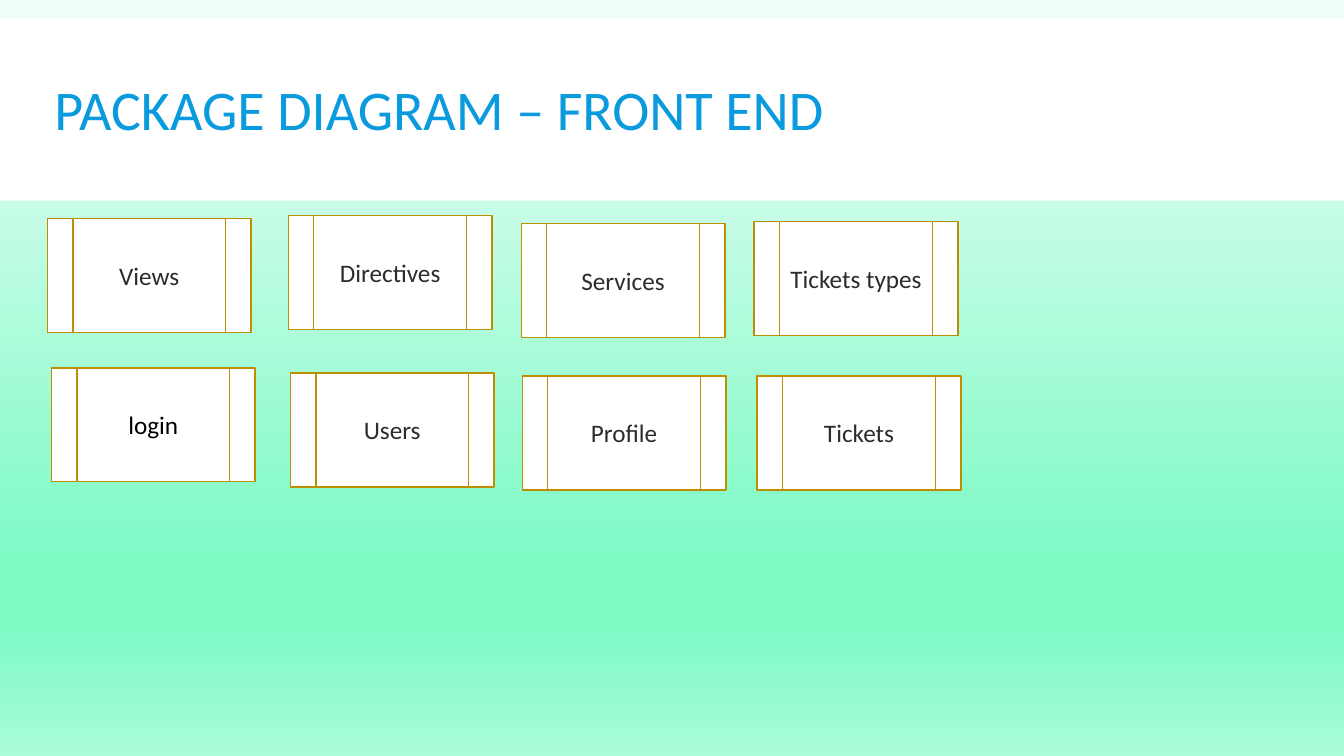
from lxml import etree
from pptx import Presentation
from pptx.dml.color import RGBColor
from pptx.enum.shapes import MSO_SHAPE
from pptx.enum.text import MSO_ANCHOR, PP_ALIGN
from pptx.oxml.ns import qn
from pptx.util import Inches, Pt

RECT = MSO_SHAPE.RECTANGLE
PACKAGE = MSO_SHAPE.FLOWCHART_PREDEFINED_PROCESS
MIDDLE = MSO_ANCHOR.MIDDLE
LEFT, CENTER = PP_ALIGN.LEFT, PP_ALIGN.CENTER

FONT = "Calibri"
COLORS = {
    "white": "FFFFFF",
    "title": "099BDD",
    "border": "BD8E00",
    "text": "2C2C2C",
    "black": "000000",
}
BACKGROUND_STOPS = [(0, "F1FEF9"), (74, "7EFAC5"), (83, "7EFAC5"), (100, "A9FCD8")]

PACKAGE_W, PACKAGE_H = 2.02, 1.13
# Name, left, top, text colour
PACKAGES = [
    ("Views", 0.47, 2.17, "text"),
    ("Directives", 2.86, 2.14, "text"),
    ("Services", 5.17, 2.22, "text"),
    ("Tickets types", 7.48, 2.2, "text"),
    ("login", 0.51, 3.65, "black"),
    ("Users", 2.88, 3.7, "text"),
    ("Profile", 5.18, 3.73, "text"),
    ("Tickets", 7.51, 3.73, "text"),
]


def rgb(name):
    return RGBColor.from_string(COLORS[name])


def set_background(slide):
    fill = slide.background.fill
    fill.gradient()
    fill.gradient_angle = 270
    # Replace the two default stops
    stops = next(slide.element.iter(qn("a:gsLst")))
    for stop in list(stops):
        stops.remove(stop)
    for percent, color in BACKGROUND_STOPS:
        stop = etree.SubElement(stops, qn("a:gs"), pos=str(percent * 1000))
        etree.SubElement(stop, qn("a:srgbClr"), val=color)


def set_text(sp, text, size, color, align):
    tf = sp.text_frame
    tf.text = text
    tf.word_wrap = True
    tf.vertical_anchor = MIDDLE
    p = tf.paragraphs[0]
    p.alignment = align
    font = p.runs[0].font
    font.name, font.size = FONT, Pt(size)
    font.color.rgb = rgb(color)


def add_box(slide, kind, left, top, width, height):
    sp = slide.shapes.add_shape(
        kind, Inches(left), Inches(top), Inches(width), Inches(height))
    sp.shadow.inherit = False
    sp.fill.solid()
    sp.fill.fore_color.rgb = rgb("white")
    sp.line.fill.background()
    return sp


def add_title(slide, text):
    title = slide.shapes.title
    title.left, title.top = Inches(0.44), Inches(0.3)
    title.width, title.height = Inches(10.7), Inches(1.65)
    set_text(title, text, 40, "title", LEFT)
    title.text_frame.paragraphs[0].line_spacing = 0.85
    # Bring the title in front of the band
    slide.shapes.element.append(title.element)


def add_package(slide, name, left, top, color):
    sp = add_box(slide, PACKAGE, left, top, PACKAGE_W, PACKAGE_H)
    sp.line.color.rgb = rgb("border")
    sp.line.width = Pt(1)
    set_text(sp, name, 18, color, CENTER)
    sp.text_frame.margin_left = sp.text_frame.margin_right = Inches(0.05)


def main():
    prs = Presentation()
    prs.slide_width, prs.slide_height = Inches(13.33), Inches(7.5)
    slide = prs.slides.add_slide(prs.slide_layouts[5])

    # Background and title band
    set_background(slide)
    add_box(slide, RECT, 0, 0.19, 13.33, 1.8)
    add_title(slide, "PACKAGE DIAGRAM – FRONT END")

    # Front-end packages
    for package in PACKAGES:
        add_package(slide, *package)

    prs.save("out.pptx")


if __name__ == "__main__":
    main()
